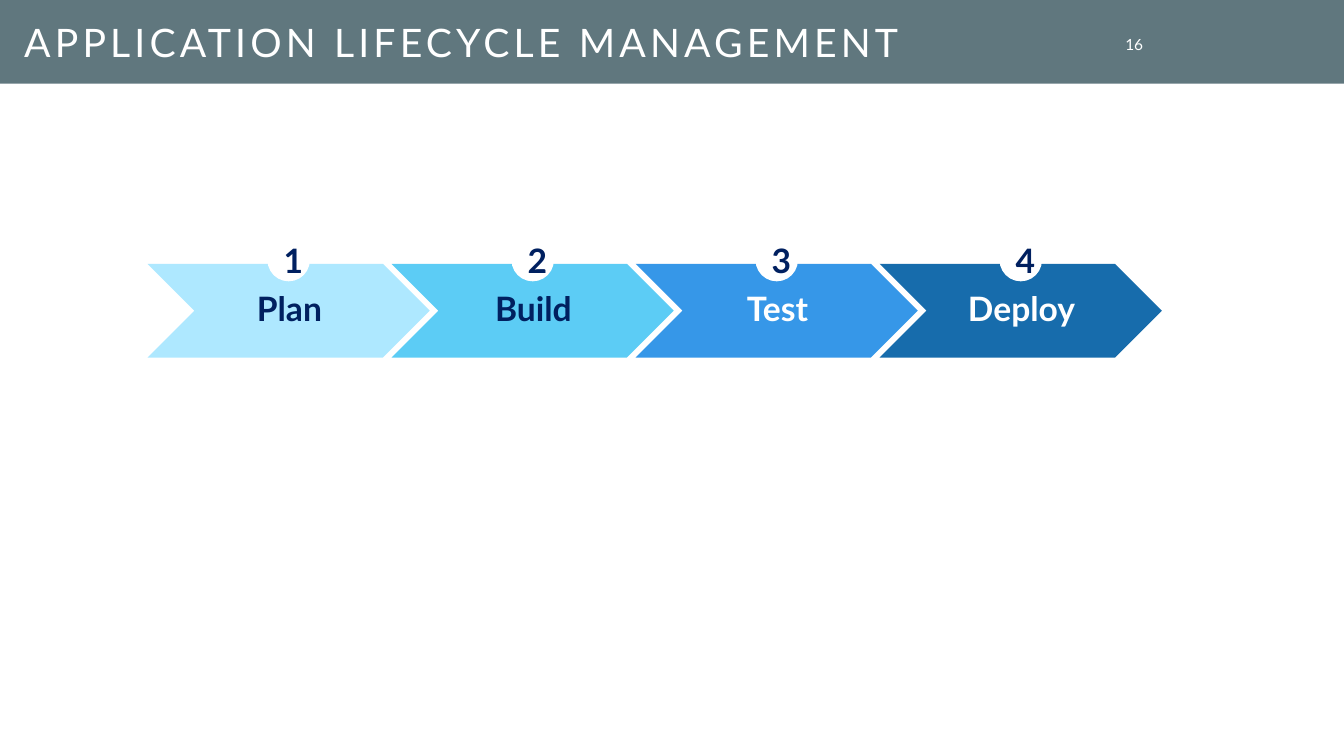
from lxml import etree
from pptx import Presentation
from pptx.dml.color import RGBColor
from pptx.enum.shapes import MSO_SHAPE
from pptx.enum.text import MSO_ANCHOR, PP_ALIGN
from pptx.oxml.ns import qn
from pptx.util import Cm, Pt

RECTANGLE, CHEVRON, OVAL = MSO_SHAPE.RECTANGLE, MSO_SHAPE.CHEVRON, MSO_SHAPE.OVAL
MIDDLE = MSO_ANCHOR.MIDDLE
LEFT, CENTER, RIGHT = PP_ALIGN.LEFT, PP_ALIGN.CENTER, PP_ALIGN.RIGHT

FONT = "Lato"
WHITE, NAVY, SLATE = "FFFFFF", "002060", "60777E"
TITLE_INSETS = (0.25, 0.38, 0.25, 0.13)
NUMBER_INSETS = (0.25, 0, 0.25, 0)
LABEL_INSETS = (0.1, 0.03, 0.03, 0.03)
BADGE_INSETS = (0.25, 0.13, 0.25, 0.13)
STAGES = [
    ("Plan", "53CFFF", 47, NAVY),
    ("Build", "00B0F0", 64, NAVY),
    ("Test", "007CE2", 79, WHITE),
    ("Deploy", "005EA4", 91, WHITE),
]
FIRST_STAGE, STAGE_PITCH, STAGE_TOP = 3.72, 6.15, 6.65


def color(value):
    """Return the colour for a hex string."""
    return RGBColor.from_string(value)


def add_block(shapes, kind, place, fill, opacity=100):
    """Add a borderless filled shape, optionally see-through."""
    block = shapes.add_shape(kind, *map(Cm, place))
    block.shadow.inherit = False
    block.line.fill.background()
    block.fill.solid()
    block.fill.fore_color.rgb = color(fill)
    if opacity < 100:
        tint = block.fill._xPr.find(qn("a:solidFill"))[0]
        etree.SubElement(tint, qn("a:alpha"), val=str(opacity * 1000))
    return block


def write(box, words, size, ink, align, insets, bold=False, wrap=True, spacing=None):
    """Set one vertically centred paragraph in a box."""
    frame = box.text_frame
    frame.word_wrap = wrap
    frame.vertical_anchor = MIDDLE
    (frame.margin_left, frame.margin_top,
     frame.margin_right, frame.margin_bottom) = map(Cm, insets)
    para = frame.paragraphs[0]
    para.text = words
    para.alignment = align
    para.line_spacing = spacing
    para.font.name = FONT
    para.font.size = Pt(size)
    para.font.bold = bold
    para.font.color.rgb = color(ink)
    return para


def add_header(page, title, number):
    """Add the title band with its title and page number."""
    add_block(page.shapes, RECTANGLE, (0, 0, 33.87, 2.11), SLATE)
    number_box = page.shapes.add_textbox(Cm(27.71), Cm(0.84), Cm(1.35), Cm(0.56))
    write(number_box, number, 11, WHITE, RIGHT, NUMBER_INSETS)
    title_box = page.shapes.add_textbox(Cm(0.36), Cm(0), Cm(27.36), Cm(2.08))
    para = write(title_box, title, 28, WHITE, LEFT, TITLE_INSETS, spacing=0.8)
    para.runs[0].font._element.set("spc", "300")


def add_stage(page, index, name, fill, opacity, ink):
    """Add one grouped chevron with its label and number badge."""
    left = FIRST_STAGE + index * STAGE_PITCH
    shapes = page.shapes.add_group_shape().shapes
    add_block(shapes, CHEVRON, (left, STAGE_TOP, 7.11, 2.36), fill, opacity)
    label = shapes.add_textbox(Cm(left + 1.04), Cm(STAGE_TOP), Cm(5), Cm(2.36))
    write(label, name, 24, ink, CENTER, LABEL_INSETS, bold=True, wrap=False, spacing=0.9)
    badge = add_block(shapes, OVAL, (left + 3.02, 6.02, 1.07, 1.07), WHITE)
    write(badge, str(index + 1), 24, NAVY, CENTER, BADGE_INSETS, bold=True)


def main():
    """Build and save the slide."""
    deck = Presentation()
    deck.slide_width, deck.slide_height = Cm(33.87), Cm(19.05)
    page = deck.slides.add_slide(deck.slide_layouts[6])
    add_header(page, "APPLICATION LIFECYCLE MANAGEMENT", "16")
    for index, stage in enumerate(STAGES):
        add_stage(page, index, *stage)
    deck.save("out.pptx")


if __name__ == "__main__":
    main()
